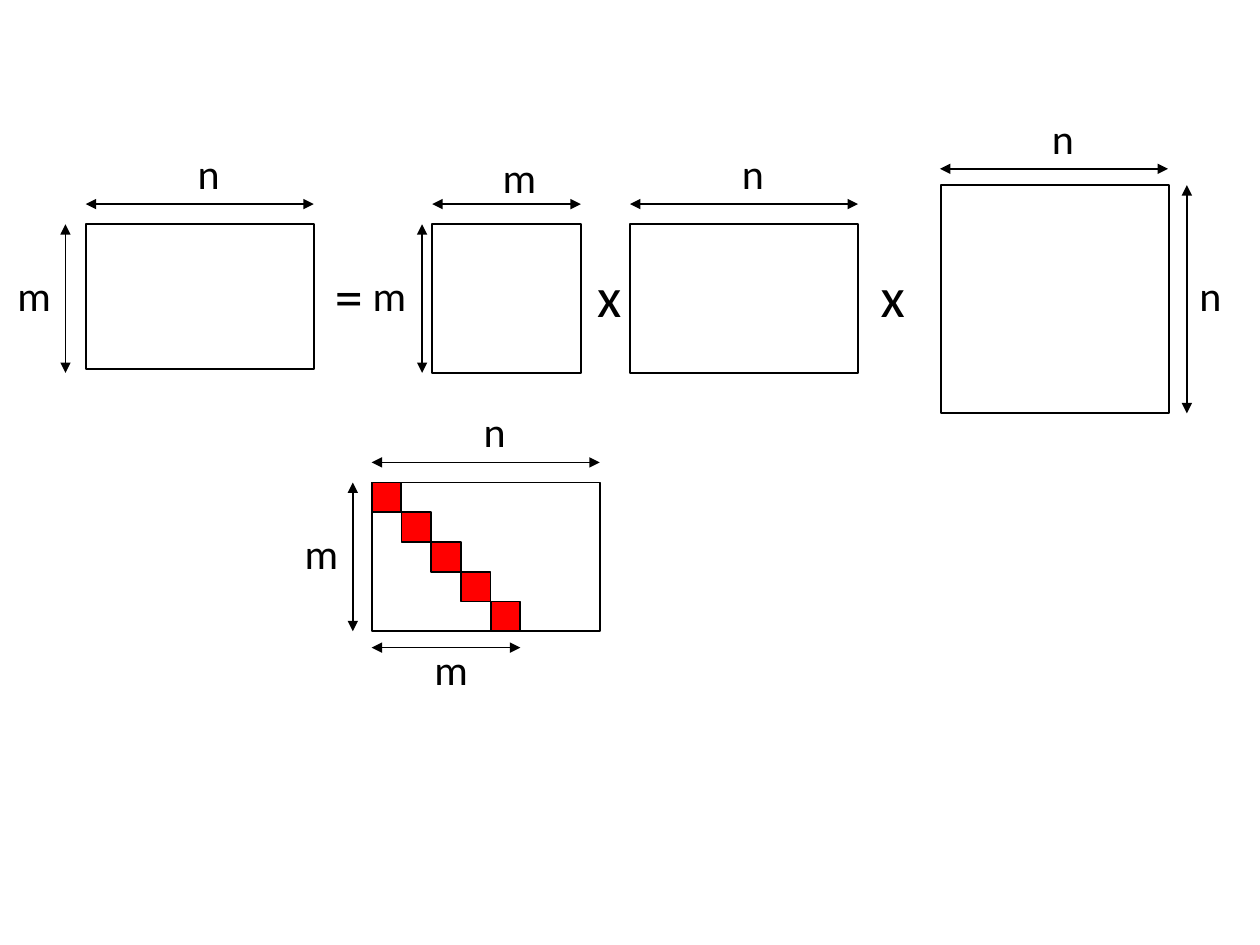
"""Build the slide showing the block shapes of a singular value decomposition."""
import pptx
import pptx.util
from lxml import etree
from pptx.dml.color import RGBColor
from pptx.enum.shapes import MSO_CONNECTOR, MSO_SHAPE
from pptx.enum.text import MSO_AUTO_SIZE
from pptx.oxml.ns import qn
from pptx.util import Inches

THEME = {
    "font": "Calibri",
    "ink": RGBColor(0, 0, 0),
    "diagonal": RGBColor(255, 0, 0),
    "label": pptx.util.Pt(24),
    "operator": pptx.util.Pt(32),
    "line": pptx.util.Pt(1),
}
M, N = 1.18, 1.81
STEPS = 5
CELL = M / STEPS
SIGMA_X, SIGMA_Y = 2.95, 3.83

prs = pptx.Presentation()
prs.slide_width, prs.slide_height = Inches(10), Inches(7.5)
s = prs.slides.add_slide(prs.slide_layouts[6])


def add_block(x, y, w, h, fill=None):
    sp = s.shapes.add_shape(MSO_SHAPE.RECTANGLE, *map(Inches, (x, y, w, h)))
    sp.shadow.inherit = False
    if fill is None:
        sp.fill.background()
    else:
        sp.fill.solid()
        sp.fill.fore_color.rgb = fill
    sp.line.color.rgb = THEME["ink"]
    sp.line.width = THEME["line"]


matrices = [
    (0.68, 1.78, N, 1.15),
    (3.43, 1.78, M, M),
    (5, 1.78, N, M),
    (7.47, 1.47, N, N),
    (SIGMA_X, SIGMA_Y, N, M),
]
for box in matrices:
    add_block(*box)
for i in range(STEPS):
    add_block(SIGMA_X + i * CELL, SIGMA_Y + i * CELL, CELL, CELL, THEME["diagonal"])

dimensions = [
    (0.52, 1.78, 0, M),
    (0.68, 1.62, N, 0),
    (3.35, 1.78, 0, M),
    (3.43, 1.62, M, 0),
    (5, 1.62, N, 0),
    (7.46, 1.34, N, 0),
    (9.42, 1.47, 0, N),
    (SIGMA_X, 3.67, N, 0),
    (2.8, SIGMA_Y, 0, M),
    (SIGMA_X, 5.14, M, 0),
]
for x, y, dx, dy in dimensions:
    c = s.shapes.add_connector(
        MSO_CONNECTOR.STRAIGHT, *map(Inches, (x, y, x + dx, y + dy))
    )
    c.line.color.rgb = THEME["ink"]
    c.line.width = THEME["line"]
    ln = c.line._get_or_add_ln()
    for end in ("a:headEnd", "a:tailEnd"):
        etree.SubElement(ln, qn(end), type="triangle")
    etree.SubElement(c._element.spPr, qn("a:effectLst"))

sizes = {
    "x": (0.4, 0.64, "operator"),
    "=": (0.43, 0.64, "operator"),
    "m": (0.47, 0.5, "label"),
    "n": (0.38, 0.5, "label"),
}
labels = [
    ("x", 4.64, 2.03),
    ("x", 6.89, 2.03),
    ("=", 2.56, 2.03),
    ("m", 0.04, 2.09),
    ("n", 1.47, 1.12),
    ("m", 2.86, 2.09),
    ("m", 3.89, 1.15),
    ("n", 5.79, 1.12),
    ("n", 8.25, 0.84),
    ("n", 9.42, 2.09),
    ("n", 3.74, 3.17),
    ("m", 2.32, 4.14),
    ("m", 3.35, 5.06),
]
for text, x, y in labels:
    w, h, size = sizes[text]
    tf = s.shapes.add_textbox(*map(Inches, (x, y, w, h))).text_frame
    tf.word_wrap = False
    tf.auto_size = MSO_AUTO_SIZE.SHAPE_TO_FIT_TEXT
    r = tf.paragraphs[0].add_run()
    r.text = text
    r.font.color.rgb = THEME["ink"]
    for name, value in {"name": THEME["font"], "size": THEME[size]}.items():
        setattr(r.font, name, value)

prs.save("out.pptx")
